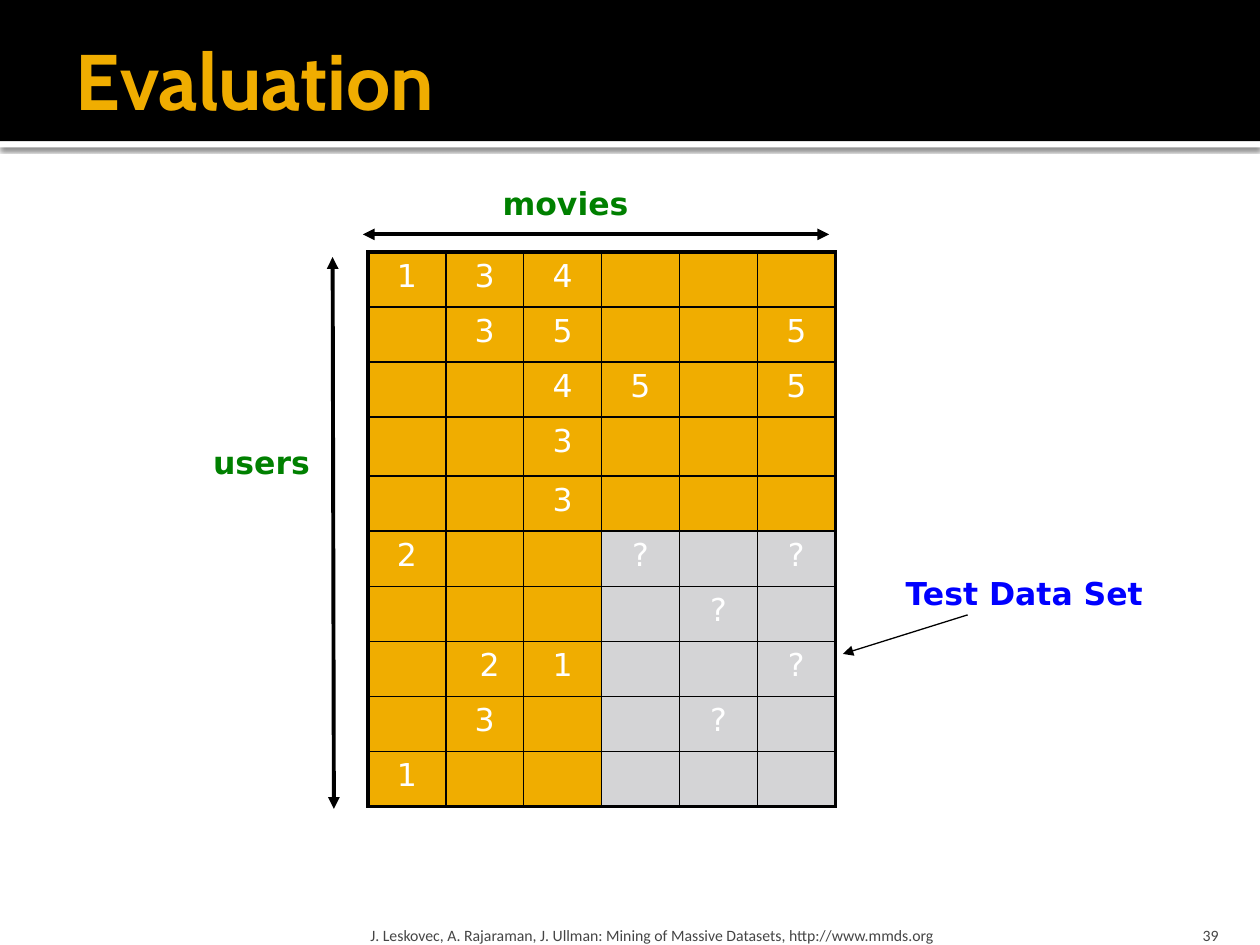
from dataclasses import dataclass

from lxml.etree import SubElement
from pptx import Presentation
from pptx.dml.color import RGBColor
from pptx.enum.shapes import MSO_CONNECTOR as Connector, MSO_SHAPE as Shape
from pptx.enum.text import MSO_ANCHOR as Anchor, PP_ALIGN as Align
from pptx.oxml.ns import qn
from pptx.util import Inches, Pt

BLACK = RGBColor(0, 0, 0)
WHITE = RGBColor(255, 255, 255)
AMBER = RGBColor(0xF0, 0xAD, 0x00)
SILVER = RGBColor(0xD4, 0xD4, 0xD6)
GREEN = RGBColor(0, 0x80, 0)
BLUE = RGBColor(0, 0, 0xFF)
GREY = RGBColor(0x45, 0x45, 0x45)

RATINGS = [
    ["1", "3", "4", "", "", ""],
    ["", "3", "5", "", "", "5"],
    ["", "", "4", "5", "", "5"],
    ["", "", "3", "", "", ""],
    ["", "", "3", "", "", ""],
    ["2", "", "", "?", "", "?"],
    ["", "", "", "", "?", ""],
    ["", " 2", "1", "", "", "?"],
    ["", "3", "", "", "?", ""],
    ["1", "", "", "", "", ""],
]
TEST_ROW, TEST_COLUMN = 5, 3
ROW_HEIGHTS = [4.7 if row == 3 else 4.37 for row in range(len(RATINGS))]


def grid(*units):
    return [Inches(unit / 10) for unit in units]


def add_color(parent, color, alpha=None):
    rgb = SubElement(parent, qn("a:srgbClr"), val=str(color))
    if alpha:
        SubElement(rgb, qn("a:alpha"), val=str(alpha * 1000))


@dataclass
class SlideBuilder:
    slide: object
    heading_font: str = "Cabin"
    label_font: str = "DejaVu Sans"
    footer_font: str = "Calibri"
    label_size: float = 18
    footer_size: float = 9

    def style(self, paragraph, font, size, color, bold=False, align=None):
        paragraph.alignment = align
        for text in (paragraph, *paragraph.runs):
            text.font.name = font
            text.font.size = Pt(size)
            text.font.bold = bold
            text.font.color.rgb = color

    def band(self, top, height, color, shadow=False):
        band = self.slide.shapes.add_shape(Shape.RECTANGLE, *grid(0, top, 100, height))
        band.shadow.inherit = False
        band.fill.solid()
        band.fill.fore_color.rgb = color
        band.line.fill.background()
        if shadow:
            effects = band._element.spPr.find(qn("a:effectLst"))
            outer = SubElement(effects, qn("a:outerShdw"), blurRad=str(Pt(2.5)),
                               dist=str(Pt(0.8)), dir=str(90 * 60000), rotWithShape="0")
            add_color(outer, BLACK, 60)

    def text(self, wording, box, font, size, color, bold=False, align=Align.LEFT,
             anchor=Anchor.TOP, insets=(1, 0.5, 1, 0.5), wrap=True):
        frame = self.slide.shapes.add_textbox(*grid(*box)).text_frame
        frame.word_wrap = wrap
        frame.vertical_anchor = anchor
        (frame.margin_left, frame.margin_top,
         frame.margin_right, frame.margin_bottom) = grid(*insets)
        frame.text = wording
        self.style(frame.paragraphs[0], font, size, color, bold, align)

    def title(self, wording, box):
        self.text(wording, box, self.heading_font, 45, AMBER, True,
                  anchor=Anchor.MIDDLE, insets=(1, 0.5, 0.5, 0.5))

    def label(self, wording, box, color, align=Align.LEFT, wrap=False):
        self.text(wording, box, self.label_font, self.label_size, color, True, align, wrap=wrap)

    def footer(self, wording, box, side, align=Align.LEFT):
        self.text(wording, box, self.footer_font, self.footer_size, GREY, align=align,
                  anchor=Anchor.BOTTOM, insets=(side, 0.5, side, 0))

    def arrow(self, start, end, width=2.25, ends=("headEnd", "tailEnd")):
        arrow = self.slide.shapes.add_connector(Connector.STRAIGHT, *grid(*start, *end))
        arrow.line.color.rgb = BLACK
        arrow.line.width = Pt(width)
        for end_name in ends:
            SubElement(arrow.line._ln, qn(f"a:{end_name}"), type="triangle")
        SubElement(arrow._element.spPr, qn("a:effectLst"))

    def borders(self, cell, outer_edges):
        properties = cell._tc.get_or_add_tcPr()
        for position, (edge, outer) in enumerate(outer_edges.items()):
            line = SubElement(properties, qn(f"a:{edge}"), w=str(Pt(2.25 if outer else 1)))
            add_color(SubElement(line, qn("a:solidFill")), BLACK)
            properties.insert(position, line)

    def ratings(self, left, top, width):
        last_row, last_column = len(RATINGS) - 1, len(RATINGS[0]) - 1
        table = self.slide.shapes.add_table(
            last_row + 1, last_column + 1, *grid(left, top, width, sum(ROW_HEIGHTS))).table
        table.first_row = table.horz_banding = False
        for column in table.columns:
            column.width = Inches(width / 10 / (last_column + 1))
        for r, scores in enumerate(RATINGS):
            table.rows[r].height = Inches(ROW_HEIGHTS[r] / 10)
            for c, score in enumerate(scores):
                cell = table.cell(r, c)
                cell.text = score
                self.style(cell.text_frame.paragraphs[0], self.label_font,
                           self.label_size, WHITE, align=Align.CENTER)
                cell.fill.solid()
                in_test_set = r >= TEST_ROW and c >= TEST_COLUMN
                cell.fill.fore_color.rgb = SILVER if in_test_set else AMBER
                self.borders(cell, {"lnL": c == 0, "lnR": c == last_column,
                                    "lnT": r == 0, "lnB": r == last_row})


def main():
    deck = Presentation()
    deck.slide_width, deck.slide_height = grid(100, 75)
    builder = SlideBuilder(deck.slides.add_slide(deck.slide_layouts[6]))

    builder.band(11.2, 0.5, WHITE, shadow=True)
    builder.band(0, 11.2, BLACK)
    builder.title("Evaluation", (5, 1.7, 90, 9.2))

    builder.ratings(29.2, 20, 37.1)
    builder.label("Test Data Set", (70.9, 45.1, 21, 4), BLUE)
    builder.label("users", (11, 34.7, 19.5, 4), GREEN, Align.CENTER, wrap=True)
    builder.arrow((26.4, 20.4), (26.5, 64.2))
    builder.arrow((28.8, 18.6), (65.8, 18.6))
    builder.arrow((76.8, 48.8), (66.9, 51.9), 0.75, ["tailEnd"])
    builder.label("movies", (38.9, 14.1, 12.1, 4), GREEN)

    builder.footer("J. Leskovec, A. Rajaraman, J. Ullman: Mining of Massive Datasets, "
                   "http://www.mmds.org", (28.9, 72, 60.2, 3), 0.5)
    builder.footer("39", (89.7, 72, 8, 3), 1, Align.RIGHT)
    deck.save("out.pptx")


if __name__ == "__main__":
    main()
